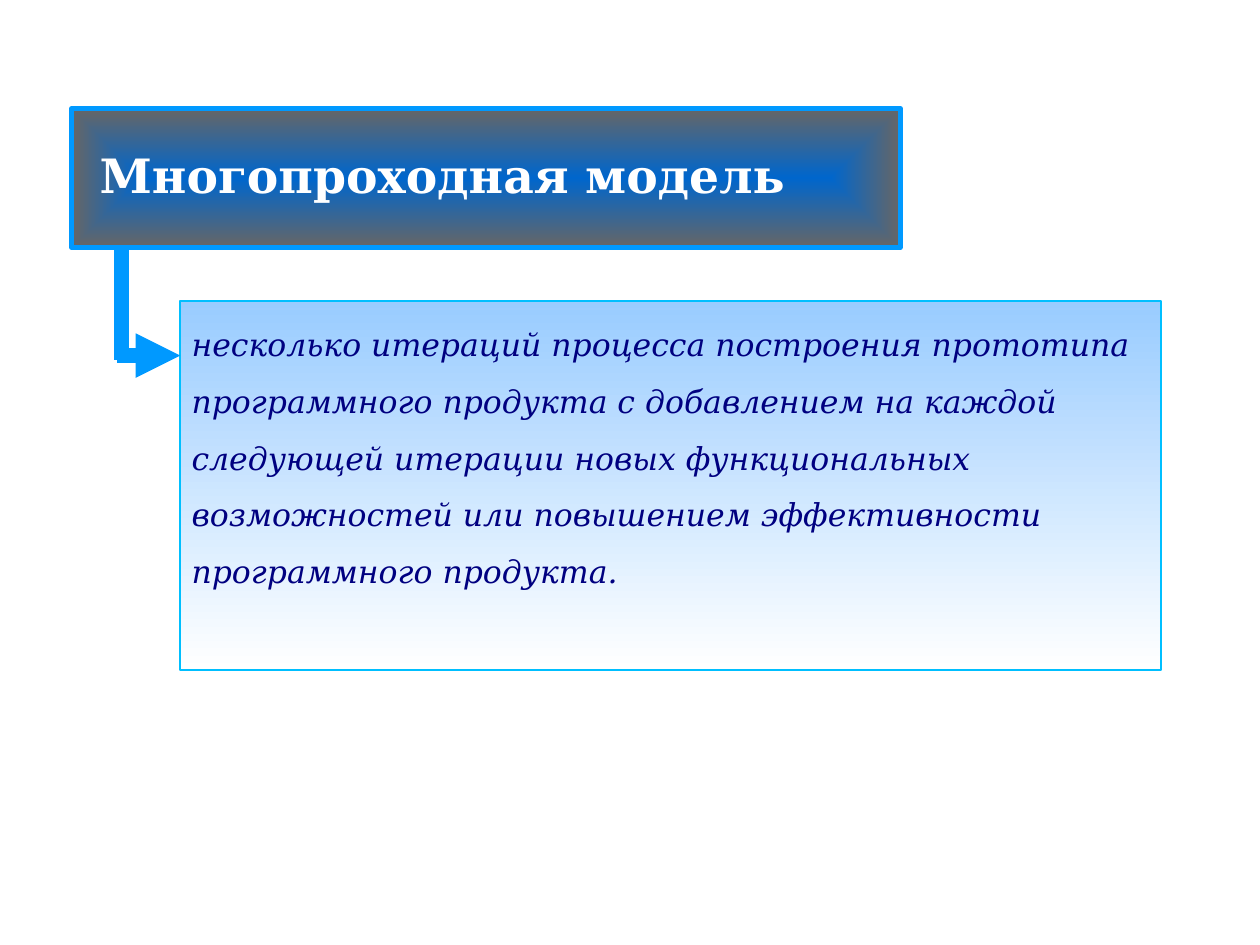
from lxml.etree import SubElement
from pptx import Presentation
from pptx.dml.color import RGBColor
from pptx.enum.shapes import MSO_CONNECTOR, MSO_SHAPE
from pptx.enum.text import MSO_ANCHOR, MSO_AUTO_SIZE, PP_ALIGN
from pptx.oxml import parse_xml
from pptx.oxml.ns import nsdecls, qn
from pptx.util import Pt

# Content
TITLE = "Многопроходная модель"
DEFINITION = [
    "несколько итераций процесса построения прототипа",
    "программного продукта с добавлением на каждой",
    "следующей итерации новых функциональных",
    "возможностей или повышением эффективности",
    "программного продукта.",
]

# Left, top, width, height
TITLE_BOX = (41, 61.9, 473.4, 79.6)
DEFINITION_BOX = (103, 172, 560.4, 211)
ARROW_Y = 203.2
STEM_X = 69.5

FONT = "DejaVu Serif"
ACCENT = "0099FF"


def color(value):
    return RGBColor.from_string(value)


def style_box(shape, box, stops, line_color, line_width):
    shape.left, shape.top, shape.width, shape.height = map(Pt, box)
    shape.fill.gradient()
    shape.fill.gradient_angle = 270
    for position, (stop, value) in enumerate(zip(shape.fill.gradient_stops, stops)):
        stop.color.rgb = color(value)
        stop.position = position
    shape.line.color.rgb = color(line_color)
    shape.line.width = Pt(line_width)


def write_text(shape, lines, size, text_color, spacing, anchor, left_inset, top_inset):
    frame = shape.text_frame
    frame.text = "\n".join(lines)
    frame.word_wrap = True
    frame.auto_size = MSO_AUTO_SIZE.NONE
    frame.vertical_anchor = anchor
    frame.margin_left, frame.margin_top = Pt(left_inset), Pt(top_inset)
    frame.margin_right, frame.margin_bottom = Pt(6.5), Pt(3)
    for paragraph in frame.paragraphs:
        paragraph.alignment = PP_ALIGN.LEFT
        paragraph.line_spacing = spacing
        paragraph.space_before = Pt(0)
        paragraph.font.name = FONT
        paragraph.font.size = Pt(size)
        paragraph.font.color.rgb = color(text_color)


def add_line(slide, *points):
    line = slide.shapes.add_connector(MSO_CONNECTOR.STRAIGHT, *map(Pt, points))
    line.line.color.rgb = color(ACCENT)
    line.line.width = Pt(8.5)
    SubElement(line._element.spPr, qn("a:effectLst"))
    return line


def main():
    presentation = Presentation()
    presentation.slide_width, presentation.slide_height = Pt(720), Pt(540)
    slide = presentation.slides.add_slide(presentation.slide_layouts[5])

    # Definition
    definition = slide.shapes.add_shape(MSO_SHAPE.RECTANGLE, *map(Pt, DEFINITION_BOX))
    definition.shadow.inherit = False
    style_box(definition, DEFINITION_BOX, ("99CCFF", "FFFFFF"), "00BFFF", 1.42)
    write_text(definition, DEFINITION, 18, "000080", 1.5, MSO_ANCHOR.TOP, 6.5, 3.15)
    for paragraph in definition.text_frame.paragraphs:
        paragraph.font.italic = True

    # Elbow arrow from the title to the definition
    arrow = add_line(slide, 67, ARROW_Y, DEFINITION_BOX[0], ARROW_Y)
    SubElement(arrow._element.spPr.find(qn("a:ln")), qn("a:tailEnd"), type="triangle")
    add_line(slide, STEM_X, 126, STEM_X, 206)

    # Title, in front of the arrow stem
    title = slide.shapes.title
    style_box(title, TITLE_BOX, ("0066CC", "666666"), ACCENT, 2.83)
    write_text(title, [TITLE], 27, "FFFFFF", 0.93, MSO_ANCHOR.MIDDLE, 16, 3)
    title.text_frame.paragraphs[0].font.bold = True
    linear = title._element.spPr.find(qn("a:gradFill")).find(qn("a:lin"))
    linear.getparent().replace(linear, parse_xml(
        f'<a:path {nsdecls("a")} path="rect">'
        '<a:fillToRect l="50000" t="50000" r="50000" b="50000"/></a:path>'))
    title._element.getparent().append(title._element)

    presentation.save("out.pptx")


if __name__ == "__main__":
    main()
